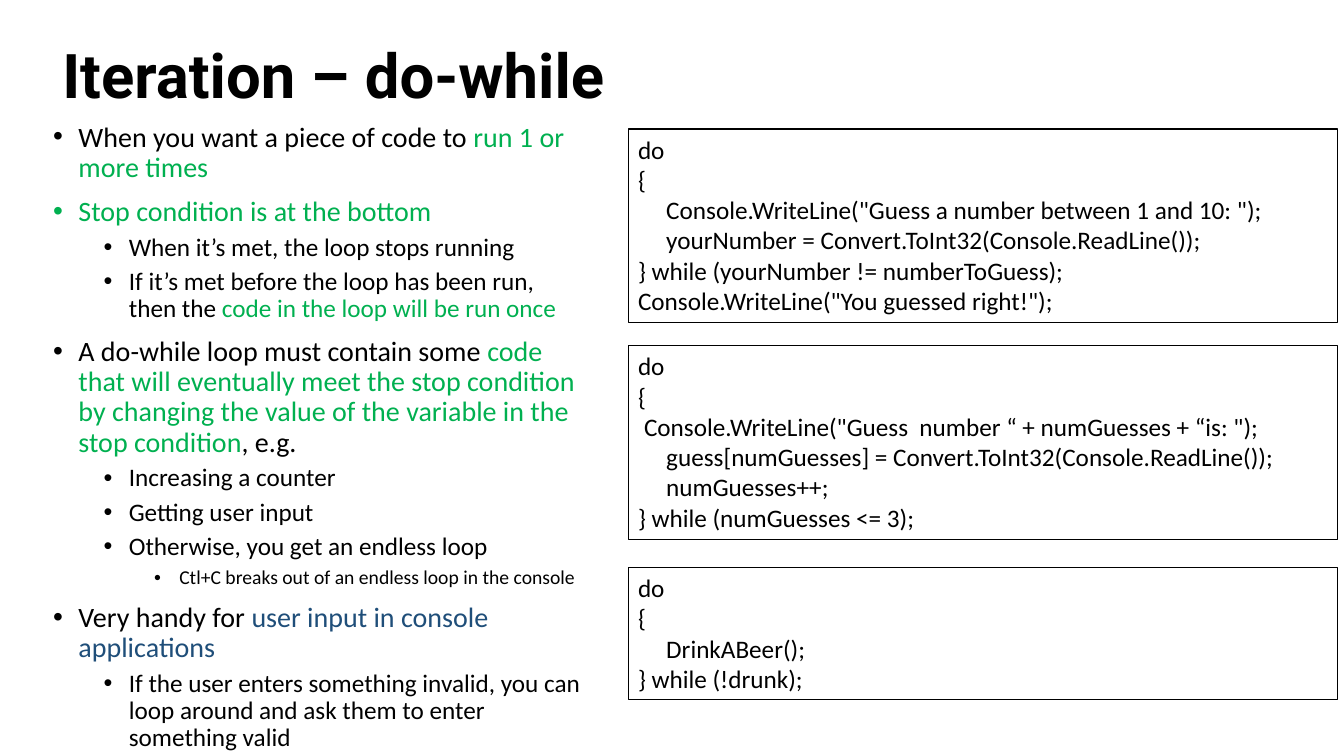
from lxml import etree
from pptx import Presentation
from pptx import util as u
from pptx.dml.color import RGBColor
from pptx.enum import shapes, text
from pptx.oxml.ns import qn

BLACK = RGBColor(0x00, 0x00, 0x00)
GREEN = RGBColor(0x00, 0xB0, 0x50)
NAVY = RGBColor(0x1F, 0x4E, 0x79)

prs = Presentation()
prs.slide_width = u.Inches(13.33)
prs.slide_height = u.Inches(7.5)
s = prs.slides.add_slide(prs.slide_layouts[6])


def add_run(p, words, size=18, color=BLACK, font="Calibri", bold=False):
    r = p.add_run()
    r.text = words
    r.font.size = u.Pt(size)
    r.font.name = font
    r.font.bold = bold
    r.font.color.rgb = color


def next_paragraph(tf, i, left=0, hanging=0):
    p = tf.add_paragraph() if i else tf.paragraphs[0]
    p.alignment = text.PP_ALIGN.LEFT
    pPr = p._p.get_or_add_pPr()
    pPr.set("marL", str(u.Inches(left)))
    pPr.set("indent", str(-u.Inches(hanging)))
    return p


title = s.shapes.add_textbox(u.Inches(0.52), u.Inches(0.05), u.Inches(11.5), u.Inches(1.45))
tf = title.text_frame
tf.word_wrap = True
tf.vertical_anchor = text.MSO_ANCHOR.MIDDLE
p = next_paragraph(tf, 0)
p.line_spacing = 0.9
add_run(p, "Iteration – do-while", size=44, font="Roboto", bold=True)

bullets = [
    (0, [("When you want a piece of code to ", BLACK), ("run 1 or more times", GREEN)]),
    (0, [("Stop condition is at the bottom", GREEN)]),
    (1, [("When it’s met, the loop stops running", BLACK)]),
    (1, [("If it’s met before the loop has been run, then the ", BLACK),
         ("code in the loop will be run once", GREEN)]),
    (0, [("A do-while loop must contain some ", BLACK),
         ("code that will eventually meet the stop condition by changing "
          "the value of the variable in the stop condition", GREEN),
         (", e.g.", BLACK)]),
    (1, [("Increasing a counter", BLACK)]),
    (1, [("Getting user input", BLACK)]),
    (1, [("Otherwise, you get an endless loop", BLACK)]),
    (2, [("Ctl+C breaks out of an endless loop in the console", BLACK)]),
    (0, [("Very handy for ", BLACK), ("user input in console applications", NAVY)]),
    (1, [("If the user enters something invalid, you can loop around "
          "and ask them to enter something valid", BLACK)]),
]
level_sizes = [20, 18, 14]

body = s.shapes.add_textbox(u.Inches(0.43), u.Inches(1.17), u.Inches(5.43), u.Inches(6.33))
tf = body.text_frame
tf.word_wrap = True
for i, (level, parts) in enumerate(bullets):
    p = next_paragraph(tf, i, left=0.25 + 0.5 * level, hanging=0.25)
    p.level = level
    p.line_spacing = 0.9
    p.space_before = u.Pt(5 if level else 10)
    pPr = p._p.get_or_add_pPr()
    etree.SubElement(pPr, qn("a:buFont")).set("typeface", "Arial")
    etree.SubElement(pPr, qn("a:buChar")).set("char", "•")
    for words, color in parts:
        add_run(p, words, size=level_sizes[level], color=color)

CODE_INDENT = 0.28
code_boxes = [
    (1.28, 1.92, [
        (0, "do"),
        (0, "{"),
        (CODE_INDENT, 'Console.WriteLine("Guess a number between 1 and 10: ");'),
        (CODE_INDENT, "yourNumber = Convert.ToInt32(Console.ReadLine());"),
        (0, "} while (yourNumber != numberToGuess);"),
        (0, 'Console.WriteLine("You guessed right!");'),
    ]),
    (3.43, 1.92, [
        (0, "do"),
        (0, "{"),
        (0.06, 'Console.WriteLine("Guess  number “ + numGuesses + “is: ");'),
        (CODE_INDENT, "guess[numGuesses] = Convert.ToInt32(Console.ReadLine());"),
        (CODE_INDENT, "numGuesses++;"),
        (0, "} while (numGuesses <= 3);"),
    ]),
    (5.63, 1.31, [
        (0, "do"),
        (0, "{"),
        (CODE_INDENT, "DrinkABeer();"),
        (0, "} while (!drunk);"),
    ]),
]

for top, height, lines in code_boxes:
    sp = s.shapes.add_shape(shapes.MSO_SHAPE.RECTANGLE, u.Inches(6.23), u.Inches(top),
                            u.Inches(7.04), u.Inches(height))
    sp.shadow.inherit = False
    sp.fill.background()
    sp.line.color.rgb = BLACK
    sp.line.width = u.Pt(0.75)
    tf = sp.text_frame
    tf.word_wrap = True
    tf.vertical_anchor = text.MSO_ANCHOR.TOP
    for i, (left, words) in enumerate(lines):
        add_run(next_paragraph(tf, i, left=left), words)

prs.save("out.pptx")
